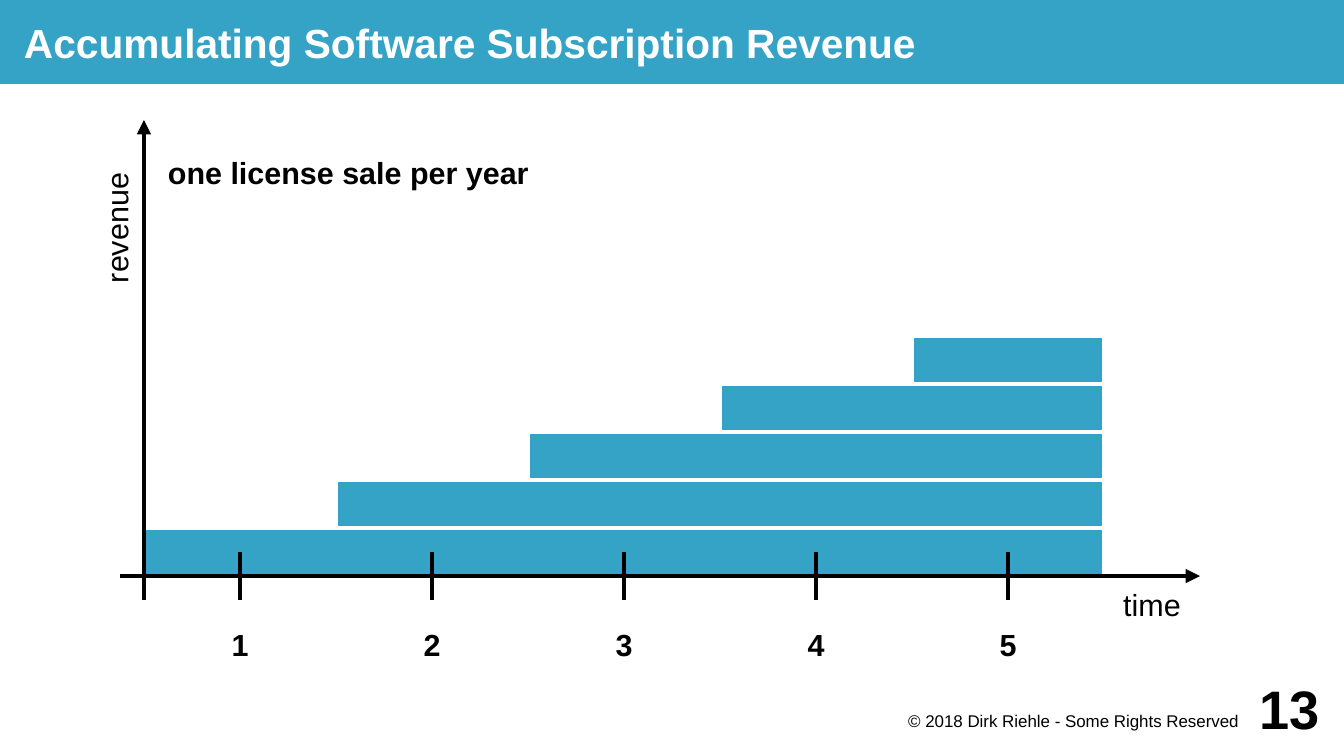
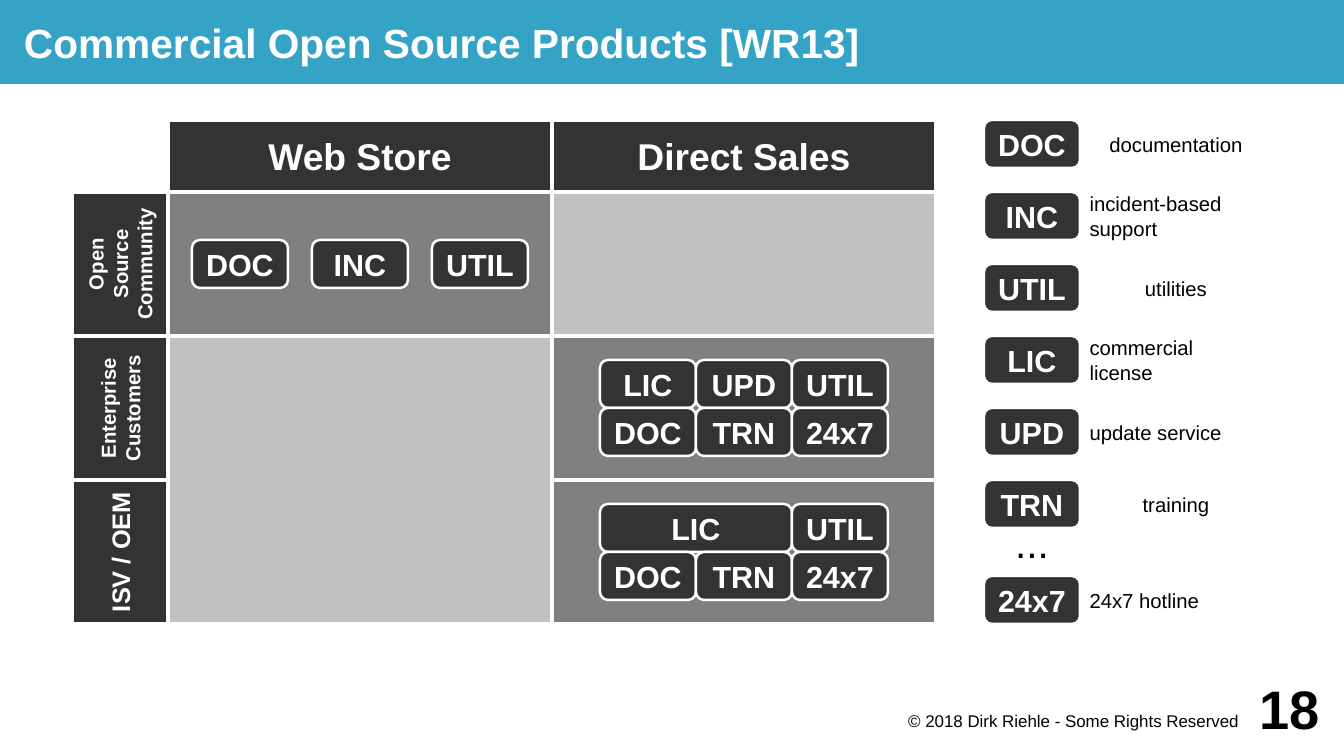
import pptx
import pptx.util
import pptx.dml.color
import pptx.enum.shapes
import pptx.enum.text
import pptx.oxml
import pptx.oxml.ns

# Shared look
FONT = "Arial"
TEAL, DARK, MID, PALE = "34A3C5", "333333", "808080", "C0C0C0"
WHITE, BLACK = "FFFFFF", "000000"
RULE, THIN = 2.83, 1.45          # line widths in points
PAD = (0.2, 0.2, 0.2, 0.2)       # insets in grid units
FLUSH = (0, 0, 0, 0)
WIDE, HIGH = 28, 15.75           # slide size in grid units
FOOTER = "© 2018 Dirk Riehle - Some Rights Reserved"

ALIGN = pptx.enum.text.PP_ALIGN
ANCHOR = pptx.enum.text.MSO_ANCHOR
SHAPE = pptx.enum.shapes.MSO_SHAPE

# Content: revenue slide
YEARS = ["1", "2", "3", "4", "5"]

# Content: product slide
STORES = ["Web Store", "Direct Sales"]
BUYERS = [("Open\vSource\vCommunity", 12), ("Enterprise\vCustomers", 12), ("ISV / OEM", 15)]
CELLS = [  # column, row, rows spanned, colour
    (0, 0, 1, MID), (1, 0, 1, PALE), (0, 1, 2, PALE), (1, 1, 1, MID), (1, 2, 1, MID),
]
OFFERS = [  # left, top, step, rows of (name, width)
    (4, 5, 2.5, [[("DOC", 2), ("INC", 2), ("UTIL", 2)]]),
    (12.5, 7.5, 2, [[("LIC", 2), ("UPD", 2), ("UTIL", 2)],
                    [("DOC", 2), ("TRN", 2), ("24x7", 2)]]),
    (12.5, 10.5, 2, [[("LIC", 4), ("UTIL", 2)],
                     [("DOC", 2), ("TRN", 2), ("24x7", 2)]]),
]
LEGEND = [  # name, meaning, alignment, top
    ("DOC", "documentation", ALIGN.CENTER, 2.5),
    ("INC", "incident-based\nsupport", ALIGN.LEFT, 4),
    ("UTIL", "utilities", ALIGN.CENTER, 5.5),
    ("LIC", "commercial\nlicense", ALIGN.LEFT, 7),
    ("UPD", "update service", ALIGN.LEFT, 8.5),
    ("TRN", "training", ALIGN.CENTER, 10),
    ("24x7", "24x7 hotline", ALIGN.LEFT, 12),
]


def unit(n):
    """Length of n grid units (centimetres)."""
    return pptx.util.Inches(n / 2.54)


def color(code):
    return pptx.dml.color.RGBColor.from_string(code)


def write(shape, text, size, ink=BLACK, bold=False, align=ALIGN.CENTER,
          anchor=ANCHOR.MIDDLE, pad=PAD, wrap=True):
    frame = shape.text_frame
    frame.word_wrap = wrap
    frame.vertical_anchor = anchor
    (frame.margin_left, frame.margin_top,
     frame.margin_right, frame.margin_bottom) = map(unit, pad)
    frame.text = text
    for par in frame.paragraphs:
        par.alignment = align
        par.font.name = FONT
        par.font.size = pptx.util.Pt(size)
        par.font.bold = bold
        par.font.color.rgb = color(ink)


def label(slide, box, text, size, **style):
    shape = slide.shapes.add_textbox(*map(unit, box))
    write(shape, text, size, **style)
    return shape


def block(slide, box, fill, edge=RULE, kind=SHAPE.RECTANGLE):
    shape = slide.shapes.add_shape(kind, *map(unit, box))
    shape.shadow.inherit = False
    shape.fill.solid()
    shape.fill.fore_color.rgb = color(fill)
    if edge:
        shape.line.color.rgb = color(WHITE)
        shape.line.width = pptx.util.Pt(edge)
    else:
        shape.line.fill.background()
    return shape


def chip(slide, left, top, name, width=2):
    shape = block(slide, (left, top, width, 1), DARK, THIN, SHAPE.ROUNDED_RECTANGLE)
    write(shape, name, 18, ink=WHITE, bold=True, wrap=False)


def rule(slide, ends, arrow=False):
    line = slide.shapes.add_connector(
        pptx.enum.shapes.MSO_CONNECTOR.STRAIGHT, *map(unit, ends))
    line.line.color.rgb = color(BLACK)
    line.line.width = pptx.util.Pt(RULE)
    props = line.element.spPr
    if arrow:
        tip = pptx.oxml.ns.qn("a:tailEnd")
        props.find(pptx.oxml.ns.qn("a:ln")).makeelement(tip, {})
        end = pptx.oxml.parse_xml(
            '<a:tailEnd %s type="triangle"/>' % pptx.oxml.ns.nsdecls("a"))
        props.find(pptx.oxml.ns.qn("a:ln")).append(end)
    props.append(pptx.oxml.parse_xml("<a:effectLst %s/>" % pptx.oxml.ns.nsdecls("a")))


def begin(deck, title, number):
    """Add a slide with its title band, footer and page number."""
    slide = deck.slides.add_slide(deck.slide_layouts[6])
    band = block(slide, (0, 0, WIDE, 1.75), TEAL, edge=None)
    write(band, title, 24, ink=WHITE, bold=True, align=ALIGN.LEFT, pad=(0.5, 0, 0, 0))
    label(slide, (18, 14.75, 8, 0.75), FOOTER, 10, align=ALIGN.RIGHT,
          anchor=ANCHOR.TOP, pad=(0, 0.05, 0.2, 0))
    label(slide, (25.5, 14, 2, 1.5), number, 32, bold=True, align=ALIGN.RIGHT, pad=FLUSH)
    return slide


def revenue(deck):
    slide = begin(deck, "Accumulating Software Subscription Revenue", "13")
    left, base, year = 3, 12, 4
    span = year * len(YEARS)

    # Bars, each starting one year later
    for i in range(len(YEARS)):
        block(slide, (left + year * i, base - 1 - i, span - year * i, 1), TEAL)

    # Axes
    rule(slide, (left, base + 0.5, left, 2.5), arrow=True)
    rule(slide, (left - 0.5, base, 25, base), arrow=True)
    label(slide, (23, base, 2, 2), "time", 18, anchor=ANCHOR.TOP)
    side = label(slide, (0.5, 4, 3.5, 1.5), "revenue", 18, anchor=ANCHOR.BOTTOM)
    side.rotation = 270

    # Year marks
    for i, name in enumerate(YEARS):
        mid = left + year * (i + 0.5)
        rule(slide, (mid, base - 0.5, mid, base + 0.5))
        label(slide, (mid - 1, base, 2, 2), name, 18, bold=True, anchor=ANCHOR.BOTTOM)

    label(slide, (left, 3, 22, 4), "one license sale per year", 18, bold=True,
          align=ALIGN.LEFT, anchor=ANCHOR.TOP, pad=(0.5, 0.2, 0.2, 0.2))


def products(deck):
    slide = begin(deck, "Commercial Open Source Products [WR13]", "18")
    left, top, wide, high = 3.5, 4, 8, 3

    # Matrix heads and cells
    for i, name in enumerate(STORES):
        head = block(slide, (left + wide * i, top - 1.5, wide, 1.5), DARK)
        write(head, name, 22, ink=WHITE, bold=True, wrap=False)
    for i, (name, size) in enumerate(BUYERS):
        head = block(slide, (1, top + high * i + 0.5, high, 2), DARK)
        head.rotation = 270
        write(head, name, size, ink=WHITE, bold=True, pad=FLUSH, wrap=False)
    for col, row, span, fill in CELLS:
        block(slide, (left + wide * col, top + high * row, wide, high * span), fill)

    # Offers in the cells
    for start, y, step, rows in OFFERS:
        for i, row in enumerate(rows):
            x = start
            for name, width in row:
                chip(slide, x, y + i, name, width)
                x += width + step - 2

    # Legend
    for name, text, align, y in LEGEND:
        chip(slide, 20.5, y, name)
        label(slide, (22.5, y, 4, 1), text, 12, align=align, pad=(0.2, 0, 0.2, 0))
    label(slide, (20.5, 10.8, 2, 1), "...", 24)


def main():
    deck = pptx.Presentation()
    deck.slide_width, deck.slide_height = unit(WIDE), unit(HIGH)
    revenue(deck)
    products(deck)
    deck.save("out.pptx")


if __name__ == "__main__":
    main()
